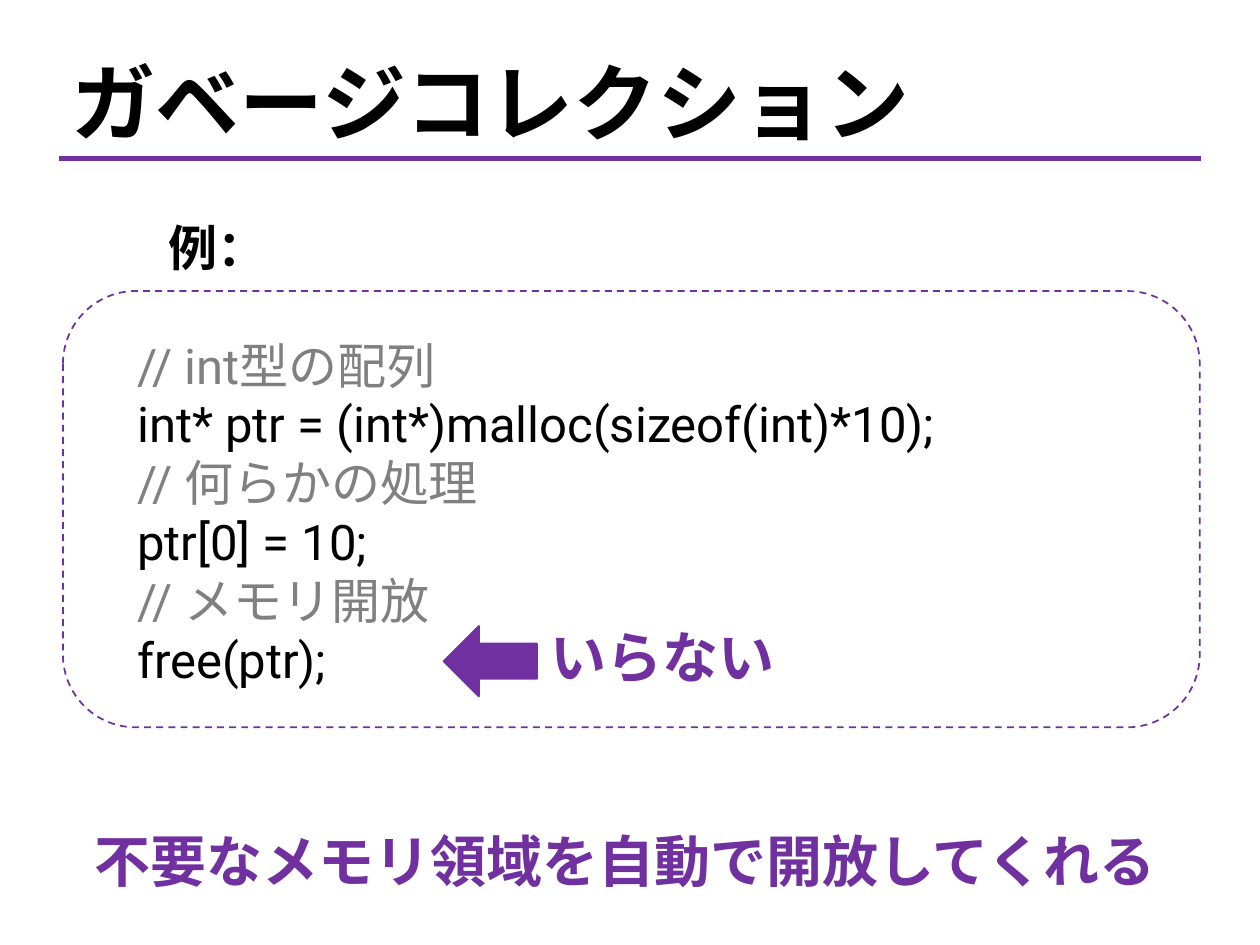
from lxml.etree import SubElement
from pptx import Presentation
from pptx.dml.color import RGBColor
from pptx.enum.dml import MSO_LINE
from pptx.enum.shapes import MSO_CONNECTOR, MSO_SHAPE
from pptx.enum.text import MSO_ANCHOR, PP_ALIGN
from pptx.oxml.ns import qn
from pptx.util import Pt

COLORS = {"black": "000000", "gray": "808080", "purple": "7030A0"}
TITLE = "ガベージコレクション"
CODE = [
    "// int型の配列",
    "int* ptr = (int*)malloc(sizeof(int)*10);",
    "// 何らかの処理",
    "ptr[0] = 10;",
    "// メモリ開放",
    "free(ptr);",
]
# text, (left, top, width, height), size, colour
LABELS = [
    ("例：", (89.3, 121, 110, 41), 28, "black"),
    ("いらない", (307.5, 352, 144, 46), 32, "purple"),
    ("不要なメモリ領域を自動で開放してくれる", (46.8, 468.7, 628.6, 46), 32, "purple"),
]


def color(name):
    """Look up a named colour."""
    return RGBColor.from_string(COLORS[name])


def place(shape, box):
    """Move and size a shape to a box in points."""
    shape.left, shape.top, shape.width, shape.height = map(Pt, box)


def write(shape, lines, font="Lato", size=28, bold=False, anchor=MSO_ANCHOR.TOP):
    """Fill a shape with (text, colour name) lines in one format."""
    frame = shape.text_frame
    frame.word_wrap = False
    frame.vertical_anchor = anchor
    for index, (text, name) in enumerate(lines):
        paragraph = frame.paragraphs[0] if index == 0 else frame.add_paragraph()
        paragraph.alignment = PP_ALIGN.LEFT
        run = paragraph.add_run()
        run.text = text
        run.font.name = font
        run.font.size = Pt(size)
        run.font.bold = bold
        run.font.color.rgb = color(name)
        SubElement(run.font._element, qn("a:ea"), typeface=font)


def add_text(slide, box, lines, **style):
    """Add a text box with formatted lines."""
    shape = slide.shapes.add_textbox(*map(Pt, box))
    write(shape, lines, **style)


def add_outlined(slide, kind, box):
    """Add an unfilled preset shape with a thin purple outline."""
    shape = slide.shapes.add_shape(kind, *map(Pt, box))
    shape.shadow.inherit = False
    shape.fill.background()
    shape.line.color.rgb = color("purple")
    shape.line.width = Pt(1)
    return shape


presentation = Presentation()
presentation.slide_width, presentation.slide_height = Pt(720), Pt(540)
slide = presentation.slides.add_slide(presentation.slide_layouts[5])

title = slide.shapes.title
place(title, (33.8, 25.2, 499, 65.5))
write(title, [(TITLE, "black")], font="Noto Sans CJK JP", size=48, bold=True,
      anchor=MSO_ANCHOR.MIDDLE)

rule = slide.shapes.add_connector(
    MSO_CONNECTOR.STRAIGHT, Pt(33.8), Pt(90.7), Pt(686.2), Pt(90.7))
rule.line.color.rgb = color("purple")
rule.line.width = Pt(3)
SubElement(rule._element.spPr, qn("a:effectLst"))

code_frame = add_outlined(slide, MSO_SHAPE.ROUNDED_RECTANGLE, (36, 166.3, 649.6, 249.3))
code_frame.line.dash_style = MSO_LINE.DASH

code_lines = [(line, "gray" if line.startswith("//") else "black") for line in CODE]
add_text(slide, (71.3, 188, 580, 211), code_lines, font="Roboto")

for text, box, size, name in LABELS:
    add_text(slide, box, [(text, name)], size=size, bold=True)

arrow = add_outlined(slide, MSO_SHAPE.DOWN_ARROW, (260, 351.2, 40.3, 53.3))
arrow.rotation = 90
arrow.fill.solid()
arrow.fill.fore_color.rgb = color("purple")

presentation.save("out.pptx")
